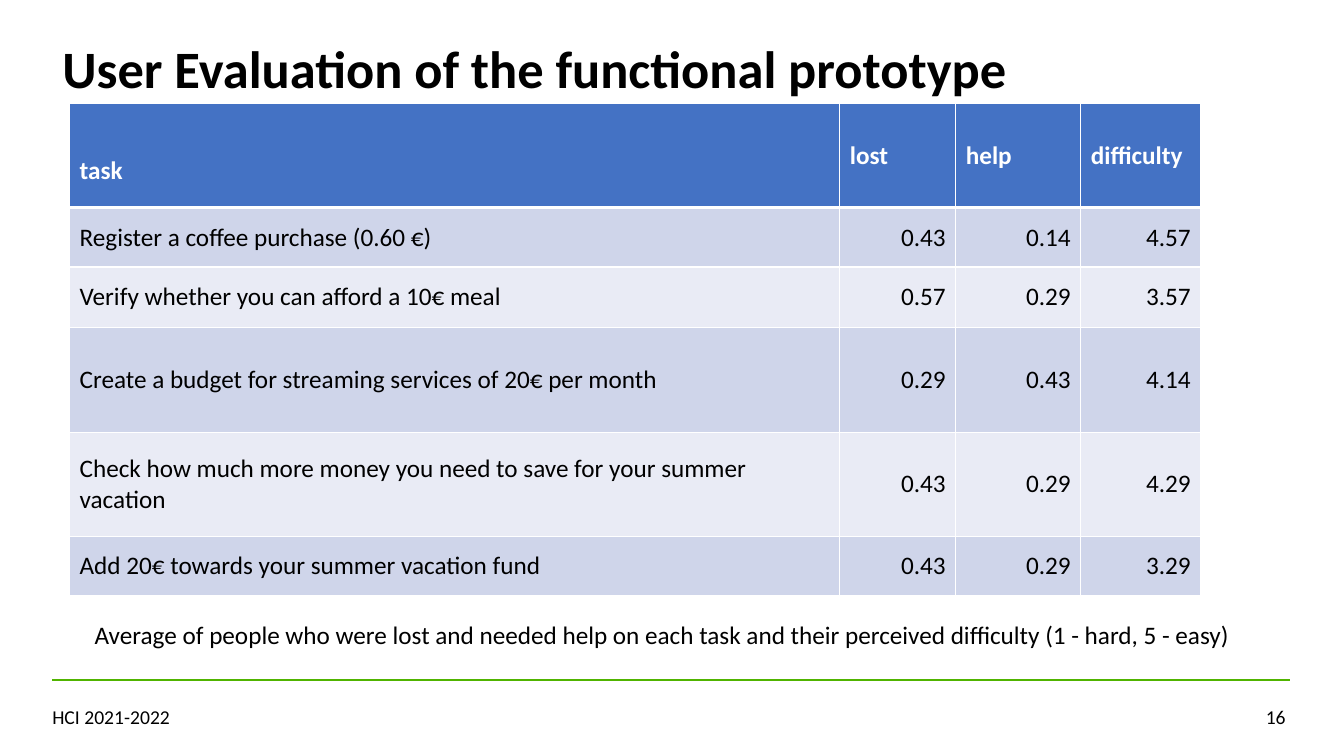
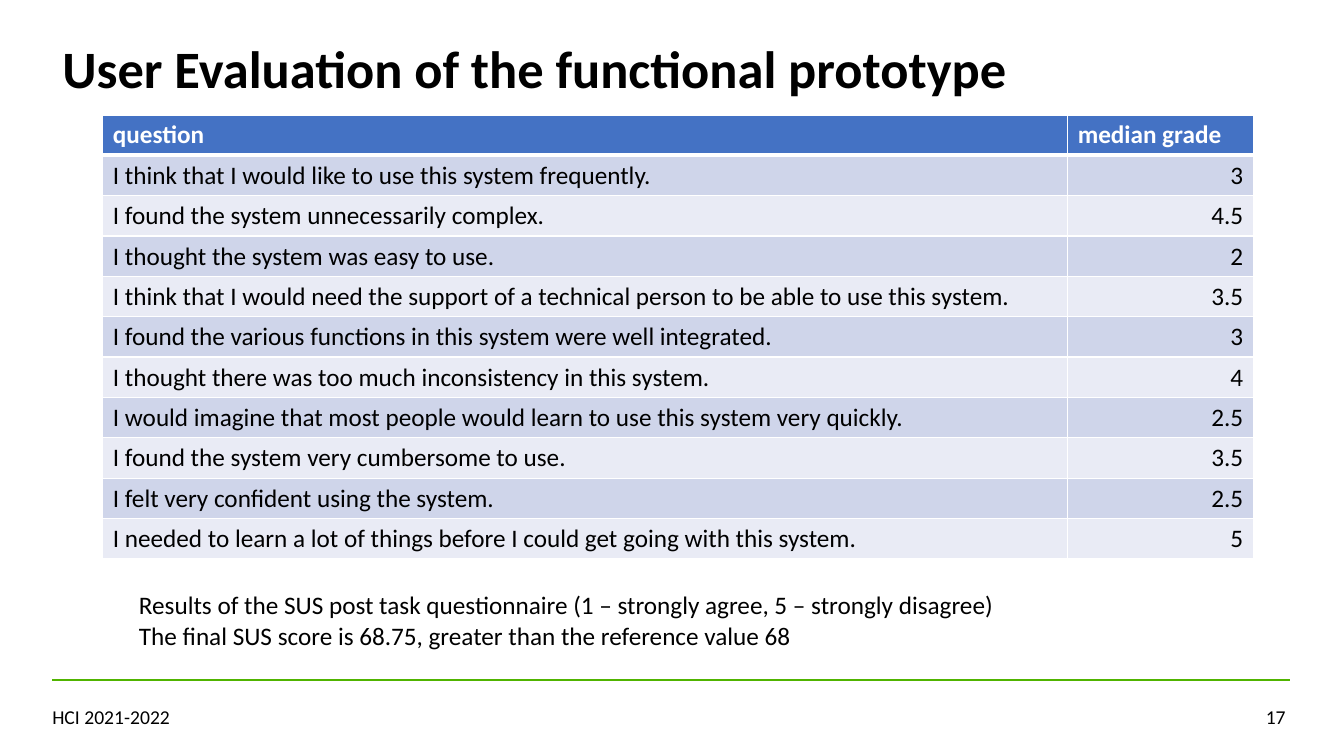
"""Build two slides on the user evaluation of a functional prototype."""
import pptx
import pptx.util
import pptx.dml.color
import pptx.enum.shapes
import pptx.enum.text
import pptx.oxml
import pptx.oxml.ns

Inches, Pt = pptx.util.Inches, pptx.util.Pt
ALIGN, ANCHOR = pptx.enum.text.PP_ALIGN, pptx.enum.text.MSO_ANCHOR
FONT = "Calibri"
HUES = {"ink": "000000", "white": "FFFFFF", "head": "4472C4",
        "odd": "CFD5EA", "even": "E9EBF5", "rule": "50B400"}
TITLE = "User Evaluation of the functional prototype"
FOOTER = "HCI 2021-2022"

SLIDES = [
    {"page": 16, "at": (0.69, 1.03), "cols": [7.64, 1.15, 1.24, 1.19],
     "rows": [1.03, 0.59, 0.6, 1.04, 1.03, 0.59], "drop": 0.35,
     "cells": [
         ("task", "lost", "help", "difficulty"),
         ("Register a coffee purchase (0.60 €)", "0.43", "0.14", "4.57"),
         ("Verify whether you can afford a 10€ meal", "0.57", "0.29", "3.57"),
         ("Create a budget for streaming services of 20€ per month",
          "0.29", "0.43", "4.14"),
         ("Check how much more money you need to save for your summer vacation",
          "0.43", "0.29", "4.29"),
         ("Add 20€ towards your summer vacation fund", "0.43", "0.29", "3.29")],
     "note": (0.84, 6.09, 12.4, 0.4),
     "lines": ["Average of people who were lost and needed help on each task "
               "and their perceived difficulty (1 - hard, 5 - easy)"]},
    {"page": 17, "at": (1.02, 1.14), "cols": [9.57, 1.84],
     "rows": [0.4] * 11, "drop": 0.05,
     "cells": [
         ("question", "median grade"),
         ("I think that I would like to use this system frequently.", "3"),
         ("I found the system unnecessarily complex.", "4.5"),
         ("I thought the system was easy to use.", "2"),
         ("I think that I would need the support of a technical person "
          "to be able to use this system.", "3.5"),
         ("I found the various functions in this system were well integrated.",
          "3"),
         ("I thought there was too much inconsistency in this system.", "4"),
         ("I would imagine that most people would learn to use this system "
          "very quickly.", "2.5"),
         ("I found the system very cumbersome to use.", "3.5"),
         ("I felt very confident using the system.", "2.5"),
         ("I needed to learn a lot of things before I could get going "
          "with this system.", "5")],
     "note": (1.28, 5.8, 8.72, 0.71),
     "lines": ["Results of the SUS post task questionnaire "
               "(1 – strongly agree, 5 – strongly disagree)",
               "The final SUS score is 68.75, greater than the reference value 68"]},
]


def color(name):
    return pptx.dml.color.RGBColor.from_string(HUES[name])


def style(frame, size, hue="ink", bold=False, align=ALIGN.LEFT):
    for para in frame.paragraphs:
        para.alignment = align
        for run in para.runs:
            run.font.name, run.font.size = FONT, Pt(size)
            run.font.bold, run.font.color.rgb = bold, color(hue)


def label(slide, box, lines, size, **look):
    frame = slide.shapes.add_textbox(*map(Inches, box)).text_frame
    frame.word_wrap = True
    frame.text = "\n".join(lines)
    style(frame, size, **look)
    return frame


def border(cell, row):
    props = cell._tc.get_or_add_tcPr()
    widths = {"L": 1, "R": 1, "T": 3 if row == 1 else 1, "B": 3 if row == 0 else 1}
    for spot, (side, width) in enumerate(widths.items()):
        props.insert(spot, pptx.oxml.parse_xml(
            f'<a:ln{side} {pptx.oxml.ns.nsdecls("a")} w="{Pt(width)}">'
            f'<a:solidFill><a:srgbClr val="{HUES["white"]}"/></a:solidFill>'
            f'</a:ln{side}>'))


def grid(slide, data):
    cols, rows = data["cols"], data["rows"]
    box = (*data["at"], sum(cols), sum(rows))
    table = slide.shapes.add_table(len(rows), len(cols), *map(Inches, box)).table
    for part, width in zip(table.columns, cols):
        part.width = Inches(width)
    for part, height in zip(table.rows, rows):
        part.height = Inches(height)
    for row, texts in enumerate(data["cells"]):
        head = row == 0
        fill = "head" if head else "odd" if row % 2 else "even"
        for col, text in enumerate(texts):
            cell = table.cell(row, col)
            cell.text = text
            cell.vertical_anchor = ANCHOR.MIDDLE
            cell.fill.solid()
            cell.fill.fore_color.rgb = color(fill)
            style(cell.text_frame, 18, "white" if head else "ink", head,
                  ALIGN.RIGHT if col and not head else ALIGN.LEFT)
            border(cell, row)
    table.cell(0, 0).margin_top = Inches(data["drop"])


def base(slide, page):
    label(slide, (12.05, 6.94, 0.8, 0.34), [str(page)], 14, align=ALIGN.RIGHT)
    rule = slide.shapes.add_connector(
        pptx.enum.shapes.MSO_CONNECTOR.STRAIGHT,
        *map(Inches, (0.52, 6.75, 12.79, 6.75)))
    rule.line.color.rgb, rule.line.width = color("rule"), Pt(1.5)
    rule._element.spPr.append(pptx.oxml.parse_xml(
        f'<a:effectLst {pptx.oxml.ns.nsdecls("a")}/>'))
    title = label(slide, (0.52, 0.37, 12.28, 0.6), [TITLE], 37.5, bold=True)
    title.vertical_anchor, title.margin_bottom = ANCHOR.BOTTOM, 0
    title.paragraphs[0].line_spacing = 0.7
    label(slide, (0.42, 6.94, 2.92, 0.34), [FOOTER], 14)


def main():
    deck = pptx.Presentation()
    deck.slide_width, deck.slide_height = Inches(13.33), Inches(7.5)
    for data in SLIDES:
        slide = deck.slides.add_slide(deck.slide_layouts[6])
        base(slide, data["page"])
        grid(slide, data)
        label(slide, data["note"], data["lines"], 18)
    deck.save("out.pptx")


if __name__ == "__main__":
    main()
